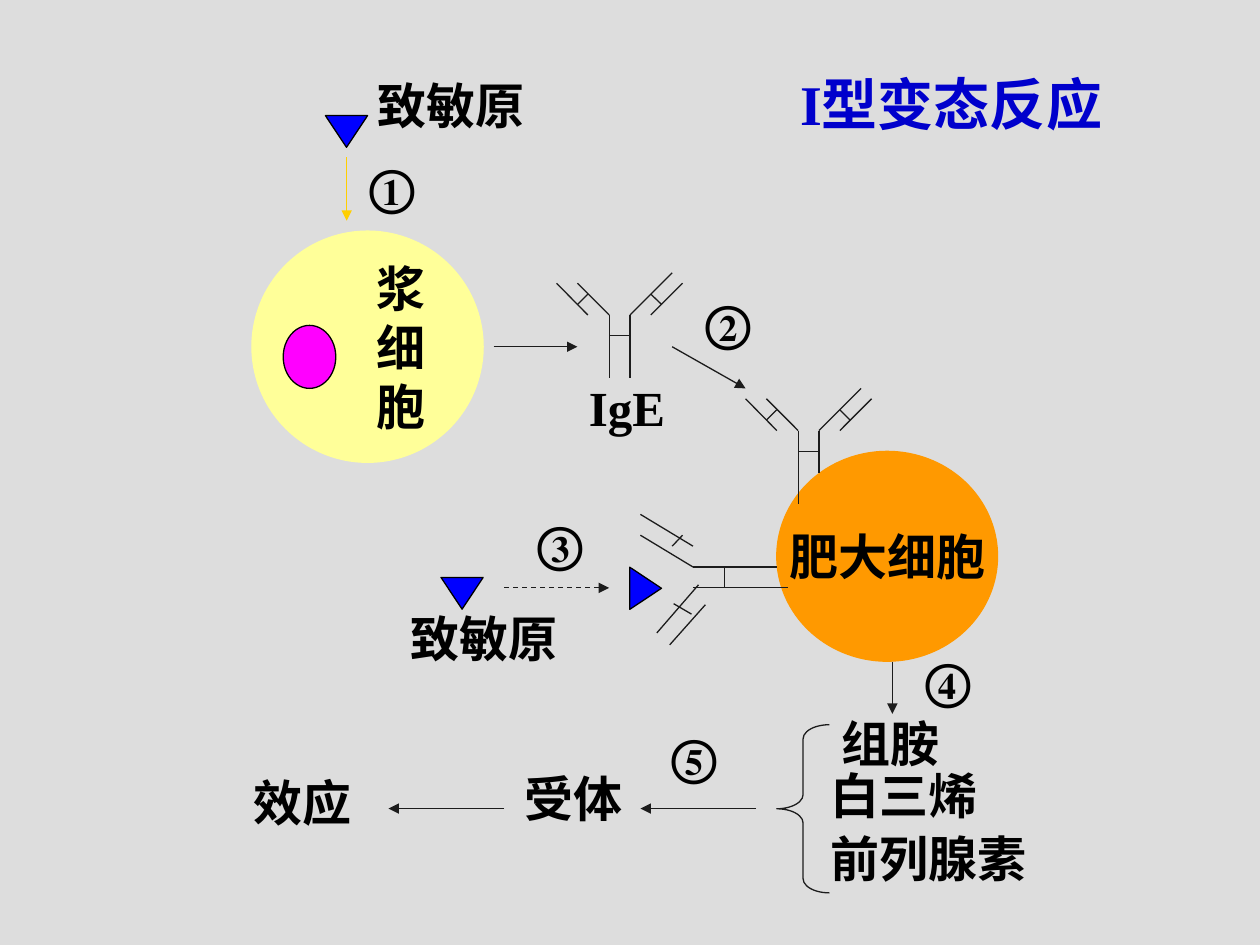
"""Build a slide showing the mechanism of a type I hypersensitivity reaction."""
from typing import NamedTuple, Optional

from lxml.etree import SubElement
from pptx import Presentation
from pptx.dml.color import RGBColor
from pptx.enum.dml import MSO_LINE_DASH_STYLE as Dash
from pptx.enum.shapes import MSO_CONNECTOR as Connector, MSO_SHAPE as Shape
from pptx.enum.text import MSO_ANCHOR as Anchor, MSO_AUTO_SIZE as AutoSize, PP_ALIGN as Align
from pptx.oxml.ns import qn
from pptx.util import Cm, Pt

FONT = "Times New Roman"
GRID_CM = 2.54 / 12
COLORS = {
    "background": "DDDDDD",
    "ink": "1C1C1C",
    "black": "000000",
    "title": "0000CC",
    "allergen": "0000FF",
    "entry": "FFCF01",
    "plasma": "FFFF99",
    "nucleus": "FF00FF",
    "mast": "FF9900",
}


class Body(NamedTuple):
    """A filled preset shape, placed in grid units."""
    kind: Shape
    left: float
    top: float
    width: float
    height: float
    fill: str
    outline: str
    rotation: float = 0
    text: str = ""
    margin_left: float = 0.25


class Line(NamedTuple):
    """A straight line between two points in grid units."""
    x1: float
    y1: float
    x2: float
    y2: float
    color: str = "ink"
    arrow: bool = False
    dashed: bool = False


class Label(NamedTuple):
    """A text box in grid units."""
    text: str
    left: float
    top: float
    width: float


def allergen(left: float, top: float, rotation: float) -> Body:
    """Describe one allergen triangle."""
    return Body(Shape.ISOSCELES_TRIANGLE, left, top, 4, 3, "allergen", "black", rotation)


def antibody(x: float, y: float, left_stem: float, right_stem: float) -> list[Line]:
    """Describe an upright antibody whose left stem starts at x, y."""
    strokes = [
        (-3, -3, 0, 0), (0, 0, 0, left_stem), (2, 0, 6, -4), (2, 0, 2, right_stem),
        (-2, 0, -5, -3), (0, 2, 2, 2), (-3, -1, -2, -2), (4, 0, 7, -3), (4, -2, 5, -1),
    ]
    return [Line(x + x1, y + y1, x + x2, y + y2) for x1, y1, x2, y2 in strokes]


BODIES = [
    Body(Shape.OVAL, 24, 22, 22, 22, "plasma", "plasma", text="浆\n细\n胞", margin_left=1.6),
    Body(Shape.OVAL, 27, 31, 5, 6, "nucleus", "black"),
    Body(Shape.OVAL, 74, 43, 21, 20, "mast", "mast", text="肥大细胞"),
    allergen(31, 11, 180),
    allergen(59.5, 54.5, 90),
    allergen(42, 55, 180),
]
ARROWS = [
    Line(33, 15, 33, 21, "entry", arrow=True),
    Line(47, 33, 55, 33, arrow=True),
    Line(64, 33, 71, 37, arrow=True),
    Line(48, 56, 58, 56, arrow=True, dashed=True),
    Line(85, 63, 85, 68, arrow=True),
    Line(72, 77, 61, 77, arrow=True),
    Line(48, 77, 37, 77, arrow=True),
]
BOUND_ANTIBODY = [
    Line(62.55, 60.3, 66.5, 55.7), Line(63.8, 61.4, 67.2, 57.6), Line(65.85, 58.5, 64.15, 57.5),
    Line(66, 56, 75, 56), Line(66, 54, 61, 51), Line(66, 52, 61, 49),
    Line(64, 52, 65, 51), Line(66, 54, 74, 54), Line(69, 56, 69, 54),
]
LABELS = [
    Label("①", 34, 14.33, 7.2),
    Label("②", 66, 27.33, 7.2),
    Label("③", 50, 48.33, 7.2),
    Label("④", 87, 61.33, 7.2),
    Label("⑤", 62.75, 68.6, 7.2),
    Label("致敏原", 34.75, 6.6, 16.8),
    Label("致敏原", 37.9, 57.35, 16.8),
    Label("IgE", 54.9, 35.33, 10),
    Label("组胺", 79, 67.33, 12.1),
    Label("白三烯", 77.9, 72.33, 16.8),
    Label("前列腺素", 77.9, 78.33, 21.4),
    Label("受体", 48.75, 72.6, 12.1),
    Label("效应", 22.95, 73, 12.1),
]


def grid(units: float) -> Cm:
    """Turn grid units into a length rounded to a tenth of a millimetre."""
    return Cm(round(units * GRID_CM, 2))


def rgb(name: str) -> RGBColor:
    """Look up a named colour."""
    return RGBColor.from_string(COLORS[name])


def write_text(frame, text: str, *, size: float = 28, color: str = "black",
               align: Optional[Align] = None, wrap: bool = False) -> None:
    """Fill a text frame with one paragraph per line of text."""
    frame.word_wrap = wrap
    for index, content in enumerate(text.split("\n")):
        paragraph = frame.add_paragraph() if index else frame.paragraphs[0]
        paragraph.alignment = align
        run = paragraph.add_run()
        run.text = content
        run.font.name, run.font.size, run.font.bold = FONT, Pt(size), True
        run.font.color.rgb = rgb(color)


def add_body(slide, body: Body) -> None:
    """Draw a filled shape with its optional text."""
    shape = slide.shapes.add_shape(
        body.kind, grid(body.left), grid(body.top), grid(body.width), grid(body.height))
    shape.shadow.inherit = False
    shape.rotation = body.rotation
    shape.fill.solid()
    shape.fill.fore_color.rgb = rgb(body.fill)
    shape.line.color.rgb = rgb(body.outline)
    shape.line.width = Pt(0.75)
    if body.text:
        frame = shape.text_frame
        frame.vertical_anchor = Anchor.MIDDLE
        frame.margin_left = Cm(body.margin_left)
        write_text(frame, body.text, align=Align.CENTER)


def add_line(slide, line: Line) -> None:
    """Draw a straight line with an optional arrowhead."""
    connector = slide.shapes.add_connector(
        Connector.STRAIGHT, grid(line.x1), grid(line.y1), grid(line.x2), grid(line.y2))
    connector.line.color.rgb = rgb(line.color)
    connector.line.width = Pt(0.75)
    if line.dashed:
        connector.line.dash_style = Dash.DASH
    if line.arrow:
        SubElement(connector.line._get_or_add_ln(), qn("a:tailEnd"), type="triangle")
    SubElement(connector._element.spPr, qn("a:effectLst"))


def add_brace(slide) -> None:
    """Draw the brace that gathers the released mediators."""
    brace = slide.shapes.add_shape(Shape.LEFT_BRACE, grid(74), grid(69), grid(5), grid(16))
    brace.shadow.inherit = False
    brace.adjustments[0] = 0.27
    brace.fill.background()
    brace.line.color.rgb = rgb("ink")
    brace.line.width = Pt(0.75)


def add_label(slide, label: Label, *, height: float = 6.85, **text_format) -> None:
    """Draw a text box that fits its text."""
    box = slide.shapes.add_textbox(
        grid(label.left), grid(label.top), grid(label.width), grid(height))
    box.text_frame.auto_size = AutoSize.SHAPE_TO_FIT_TEXT
    write_text(box.text_frame, label.text, **text_format)


def main() -> None:
    """Build and save the presentation."""
    presentation = Presentation()
    presentation.slide_width, presentation.slide_height = Cm(25.4), Cm(19.05)
    slide = presentation.slides.add_slide(presentation.slide_layouts[6])
    slide.background.fill.solid()
    slide.background.fill.fore_color.rgb = rgb("background")
    for body in BODIES:
        add_body(slide, body)
    antibodies = antibody(58, 30, 6, 6) + antibody(76, 41, 7, 4) + BOUND_ANTIBODY
    for line in ARROWS + antibodies:
        add_line(slide, line)
    add_brace(slide)
    for label in LABELS:
        add_label(slide, label)
    add_label(slide, Label("I型变态反应", 75, 6, 36), height=7.7, size=32, color="title", wrap=True)
    presentation.save("out.pptx")


if __name__ == "__main__":
    main()
